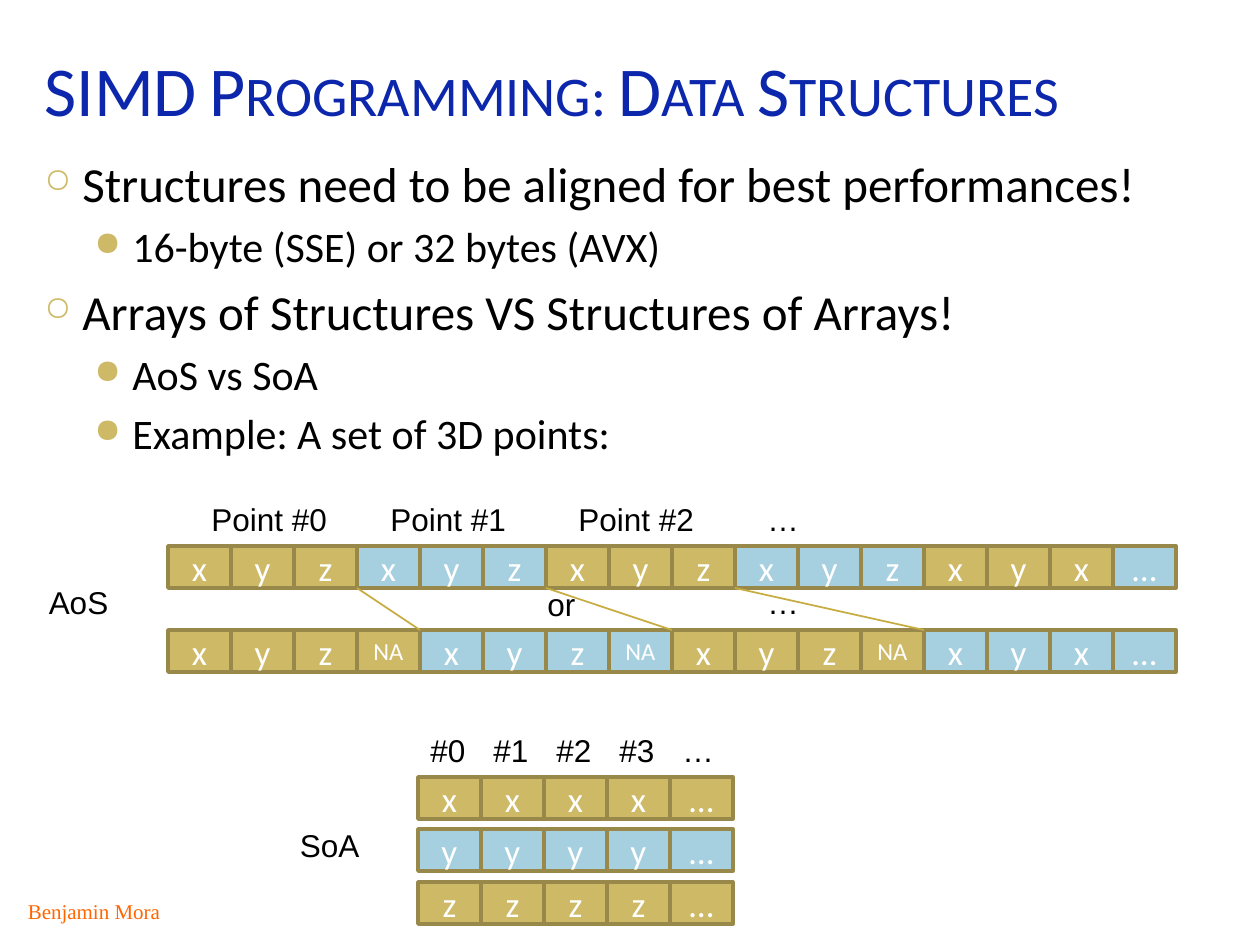
from lxml import etree
from pptx import Presentation
from pptx import util as u
from pptx.dml.color import RGBColor
from pptx.enum import shapes, text
from pptx.oxml.ns import qn

PX = 914400 / 126
GOLD, BLUE, EDGE, LINK = "CEB966", "A6D0DF", "98894B", "C7AC41"
CELL_W, CELL_H = 63, 42
AOS_X, PACKED_Y, PADDED_Y = 168, 546, 630
SOA_X, SOA_ROWS = 418, (777, 829, 882)

BULLETS = [
    (0, "Structures need to be aligned for best performances!"),
    (1, "16-byte (SSE) or 32 bytes (AVX)"),
    (0, "Arrays of Structures VS Structures of Arrays!"),
    (1, "AoS vs SoA"),
    (1, "Example: A set of 3D points:"),
]
# by level: size, space before, left indent in px, character, bullet size in %
LEVELS = [(28, 6, 38, "○", 70), (24, 4.8, 88, "●", 80)]


def px(n):
    return u.Emu(round(n * PX))


def rgb(value):
    return RGBColor.from_string(value)


def add_run(p, words, size, font, color):
    r = p.add_run()
    r.text = words
    r.font.size = u.Pt(size)
    r.font.name = font
    r.font.color.rgb = rgb(color)
    return r


def add_box(s, x, y, w, h):
    tf = s.shapes.add_textbox(px(x), px(y), px(w), px(h)).text_frame
    tf.word_wrap = True
    return tf


def add_label(s, words, x, y, w, centered=False, size=18, font="Arial", color="000000"):
    p = add_box(s, x, y, w, 50).paragraphs[0]
    if centered:
        p.alignment = text.PP_ALIGN.CENTER
    add_run(p, words, size, font, color)


def add_title(s, words):
    tf = add_box(s, 32, 21, 1197, 116)
    tf.vertical_anchor = text.MSO_ANCHOR.BOTTOM
    r = add_run(tf.paragraphs[0], words, 40, "Calibri", "0C27AC")
    r.font._element.set("cap", "small")


def set_bullet(p, char, percent, left, hanging):
    pPr = p._p.get_or_add_pPr()
    pPr.set("marL", str(px(left)))
    pPr.set("indent", str(-px(hanging)))
    color = etree.SubElement(pPr, qn("a:buClr"))
    etree.SubElement(color, qn("a:srgbClr")).set("val", GOLD)
    etree.SubElement(pPr, qn("a:buSzPct")).set("val", str(percent * 1000))
    etree.SubElement(pPr, qn("a:buChar")).set("char", char)


def add_bullets(s):
    tf = add_box(s, 32, 147, 1197, 725)
    for i, (level, words) in enumerate(BULLETS):
        size, before, left, char, percent = LEVELS[level]
        p = tf.add_paragraph() if i else tf.paragraphs[0]
        p.level = level
        p.space_before = u.Pt(before)
        set_bullet(p, char, percent, left, 38)
        add_run(p, words, size, "Calibri", "000000")


def add_cell(s, words, x, y, fill):
    sp = s.shapes.add_shape(shapes.MSO_SHAPE.RECTANGLE, px(x), px(y), px(CELL_W), px(CELL_H))
    sp.shadow.inherit = False
    sp.fill.solid()
    sp.fill.fore_color.rgb = rgb(fill)
    sp.line.color.rgb = rgb(EDGE)
    sp.line.width = u.Pt(2)
    tf = sp.text_frame
    tf.vertical_anchor = text.MSO_ANCHOR.MIDDLE
    p = tf.paragraphs[0]
    p.alignment = text.PP_ALIGN.CENTER
    add_run(p, words, 14 if words == "NA" else 20, "Calibri", "FFFFFF")


def add_array(s, x, y, cells, group, fills=(GOLD, BLUE)):
    """Row of cells whose fill alternates after every group of cells."""
    for i, words in enumerate(cells):
        add_cell(s, words, x + i * CELL_W, y, fills[i // group % 2])


def add_link(s, x1, y1, x2, y2):
    line = s.shapes.add_connector(shapes.MSO_CONNECTOR.STRAIGHT, px(x1), px(y1), px(x2), px(y2))
    line.line.color.rgb = rgb(LINK)
    line.line.width = u.Pt(1)
    etree.SubElement(line._element.spPr, qn("a:effectLst"))


def add_aos(s):
    tail = ["x", "y", "x", "…"]
    add_label(s, "AoS", 0, 577, 157, centered=True)
    for words, x in (("Point #0", 199), ("Point #1", 378), ("Point #2", 566), ("…", 755)):
        add_label(s, words, x, 494, 253)
    add_array(s, AOS_X, PACKED_Y, ["x", "y", "z"] * 4 + tail, 3)
    add_array(s, AOS_X, PADDED_Y, ["x", "y", "z", "NA"] * 3 + tail, 4)
    add_label(s, "or", 535, 579, 253)
    add_label(s, "…", 755, 577, 253)
    for point in (1, 2, 3):
        add_link(s, AOS_X + 3 * point * CELL_W, PACKED_Y + CELL_H,
                 AOS_X + 4 * point * CELL_W, PADDED_Y)


def add_soa(s):
    add_label(s, "SoA", 251, 820, 157, centered=True)
    for i, words in enumerate(["#0", "#1", "#2", "#3", "…"]):
        add_label(s, words, SOA_X + i * CELL_W, 725, 64)
    for y, axis, fill in zip(SOA_ROWS, "xyz", (GOLD, BLUE, GOLD)):
        add_array(s, SOA_X, y, [axis] * 4 + ["…"], 5, (fill,))


def main():
    prs = Presentation()
    prs.slide_width, prs.slide_height = px(1260), px(945)
    s = prs.slides.add_slide(prs.slide_layouts[6])
    add_title(s, "SIMD Programming: Data Structures")
    add_bullets(s)
    add_label(s, "Benjamin Mora", 10, 892, 168, centered=True,
              size=12, font="Times New Roman", color="FF6600")
    add_aos(s)
    add_soa(s)
    prs.save("out.pptx")


if __name__ == "__main__":
    main()
